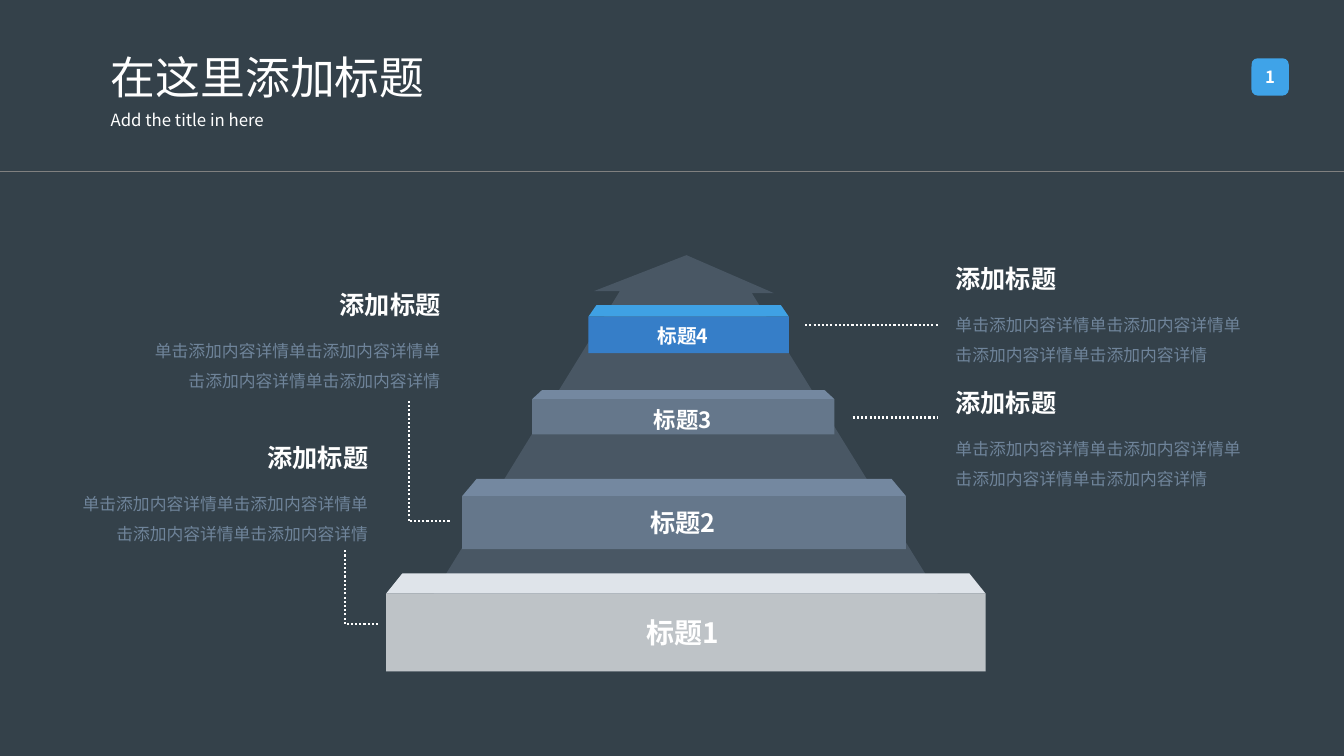
from dataclasses import dataclass

from lxml import etree
from pptx import Presentation
from pptx.dml.color import RGBColor
from pptx.enum import dml, shapes, text
from pptx.oxml import ns
from pptx.util import Cm, Pt


@dataclass(frozen=True)
class Theme:
    font: str = "Noto Sans CJK SC"
    background: str = "34414A"
    white: str = "FFFFFF"
    muted: str = "6F849A"
    badge: str = "3FA3E8"
    rule: str = "808080"
    tower: str = "495764"
    title: int = 32
    heading: int = 18
    body: int = 12


theme = Theme()
LEFT, CENTER, RIGHT = text.PP_ALIGN.LEFT, text.PP_ALIGN.CENTER, text.PP_ALIGN.RIGHT


def write(box, lines, size, align=LEFT, bold=False, color=theme.white, spacing=1.0):
    """Fill a shape with paragraphs that share one format."""
    frame = box.text_frame
    frame.word_wrap = True
    frame.text = "\n".join(lines)
    for para in frame.paragraphs:
        para.alignment = align
        para.line_spacing = spacing
        font = para.font
        font.name, font.size, font.bold = theme.font, Pt(size), bold
        font.color.rgb = RGBColor.from_string(color)
        east_asian = etree.SubElement(para._p.pPr.defRPr, ns.qn("a:ea"))
        east_asian.set("typeface", theme.font)


def paint(shape, color):
    shape.shadow.inherit = False
    shape.fill.solid()
    shape.fill.fore_color.rgb = RGBColor.from_string(color)
    shape.line.fill.background()


deck = Presentation()
deck.slide_width, deck.slide_height = Cm(33.87), Cm(19.05)
page = deck.slides.add_slide(deck.slide_layouts[5])
page.background.fill.solid()
page.background.fill.fore_color.rgb = RGBColor.from_string(theme.background)

# Header
title = page.shapes.title
title.left, title.top, title.width, title.height = Cm(2.54), Cm(1.12), Cm(8.79), Cm(1.63)
write(title, ["在这里添加标题"], theme.title)
title.text_frame.vertical_anchor = text.MSO_ANCHOR.TOP
title.text_frame.auto_size = text.MSO_AUTO_SIZE.NONE
subtitle = page.shapes.add_textbox(Cm(2.54), Cm(2.64), Cm(8.79), Cm(0.76))
write(subtitle, ["Add the title in here"], theme.body)

badge = page.shapes.add_shape(
    shapes.MSO_SHAPE.ROUNDED_RECTANGLE, Cm(31.54), Cm(1.47), Cm(0.94), Cm(0.94))
paint(badge, theme.badge)
write(badge, ["1"], theme.body, CENTER, bold=True)
frame = badge.text_frame
frame.vertical_anchor = text.MSO_ANCHOR.MIDDLE
frame.margin_left = frame.margin_right = frame.margin_top = frame.margin_bottom = 0

# Tower with an arrow tip, then the lids of its steps: outlines in cm
outlines = [(theme.tower, [(17.3, 6.43), (14.96, 7.34), (15.62, 7.34), (9.73, 16.92),
                           (24.84, 16.92), (18.95, 7.39), (19.51, 7.39)])]

# left, width, lid inset, lid top, front top, front height, front colour, lid colour,
# label top, label size
steps = [
    (9.73, 15.11, 0.41, 14.45, 14.96, 1.96, "BEC3C7", "DFE4EA", 15.39, 20),
    (11.65, 11.18, 0.36, 12.07, 12.5, 1.34, "65778B", "7488A0", 12.65, 18),
    (13.41, 7.62, 0.25, 9.83, 10.06, 0.89, "65778B", "7488A0", 10.11, 16),
    (14.83, 5.05, 0.2, 7.69, 7.98, 0.92, "367EC8", "3FA1E4", 8.03, 14),
]
for left, width, inset, lid_top, top, _, _, lid_color, _, _ in steps:
    right = left + width
    outlines.append((lid_color, [(left + inset, lid_top), (left, top),
                                 (right, top), (right - inset, lid_top)]))

for color, points in outlines:
    start, *others = [(Cm(x), Cm(y)) for x, y in points]
    builder = page.shapes.build_freeform(*start)
    builder.add_line_segments(others, close=True)
    paint(builder.convert_to_shape(), color)

for number, step in enumerate(steps, 1):
    left, width, _, _, top, height, color, _, label_top, size = step
    front = page.shapes.add_shape(
        shapes.MSO_SHAPE.RECTANGLE, Cm(left), Cm(top), Cm(width), Cm(height))
    paint(front, color)
    label = page.shapes.add_textbox(Cm(14.96), Cm(label_top), Cm(4.5), Cm(size * 0.056))
    write(label, [f"标题{number}"], size, CENTER, bold=True)

# Callouts: outer edge of the text, heading top, alignment
details = ["单击添加内容详情单击添加内容详情单", "击添加内容详情单击添加内容详情"]
callouts = [(23.83, 6.5, LEFT), (23.83, 9.63, LEFT),
            (11.35, 7.16, RIGHT), (9.53, 11.02, RIGHT)]
for edge, top, align in callouts:
    for lines, offset, width, height, style in (
        (["添加标题"], 0, 4.5, 1.02, dict(size=theme.heading, bold=True)),
        (details, 1.04, 8.18, 1.8, dict(size=theme.body, color=theme.muted, spacing=1.5)),
    ):
        left = edge if align == LEFT else edge - width
        box = page.shapes.add_textbox(Cm(left), Cm(top + offset), Cm(width), Cm(height))
        write(box, lines, align=align, **style)

# Header rule and dotted leaders
leaders = [
    (20.29, 8.19, 23.65, 8.19),
    (21.49, 10.52, 23.65, 10.52),
    (11.33, 13.12, 10.3, 13.12),
    (9.53, 15.72, 8.69, 15.72),
    (10.3, 13.12, 10.3, 10.11),
    (8.69, 15.72, 8.69, 13.83),
]
for ends in [(0, 4.32, 33.87, 4.32), *leaders]:
    line = page.shapes.add_connector(shapes.MSO_CONNECTOR.STRAIGHT, *map(Cm, ends))
    dotted = ends in leaders
    line.line.color.rgb = RGBColor.from_string(theme.white if dotted else theme.rule)
    line.line.width = Pt(1.5 if dotted else 0.75)
    if dotted:
        line.line.dash_style = dml.MSO_LINE.ROUND_DOT
    etree.SubElement(line._element.spPr, ns.qn("a:effectLst"))

deck.save("out.pptx")
